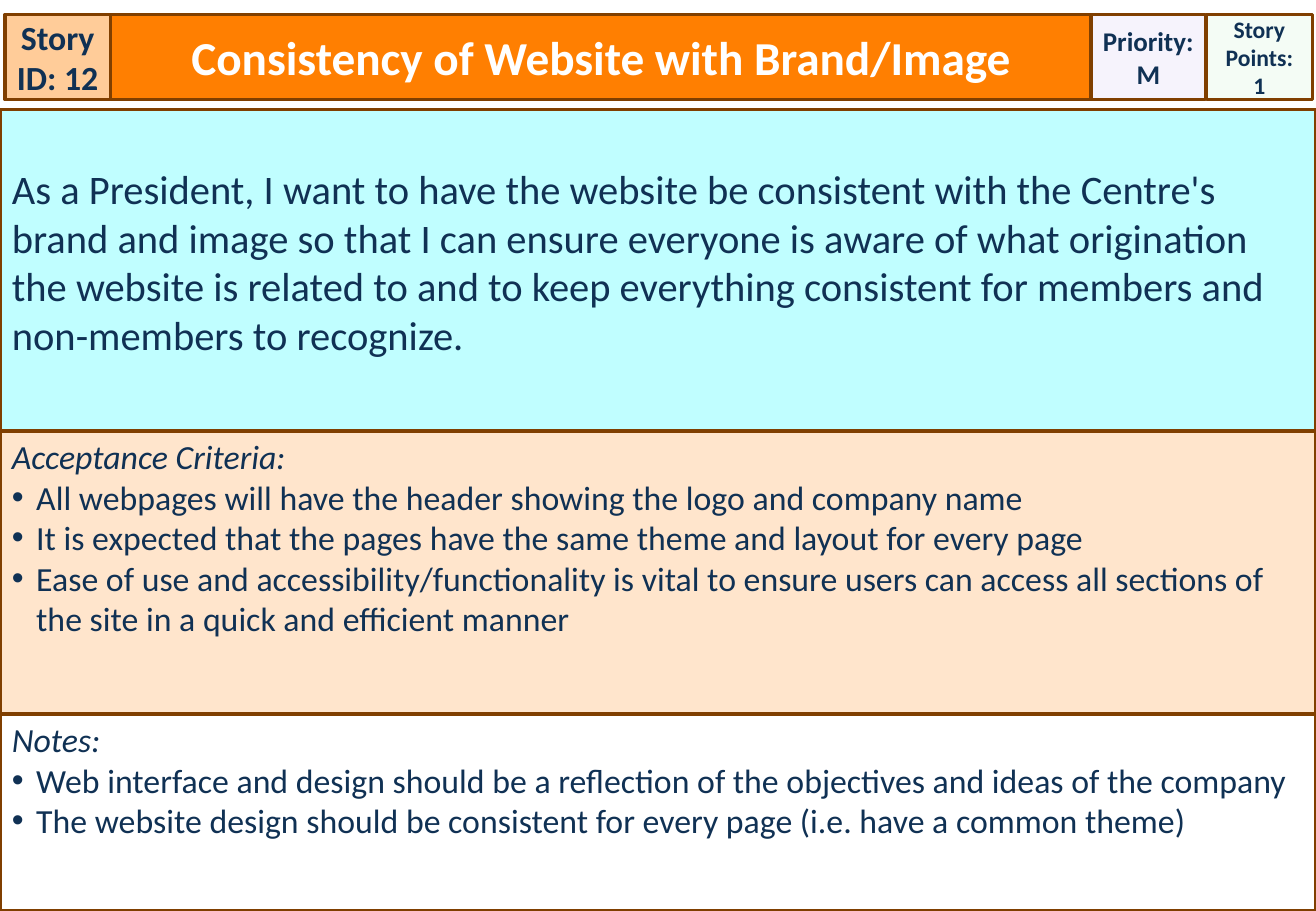
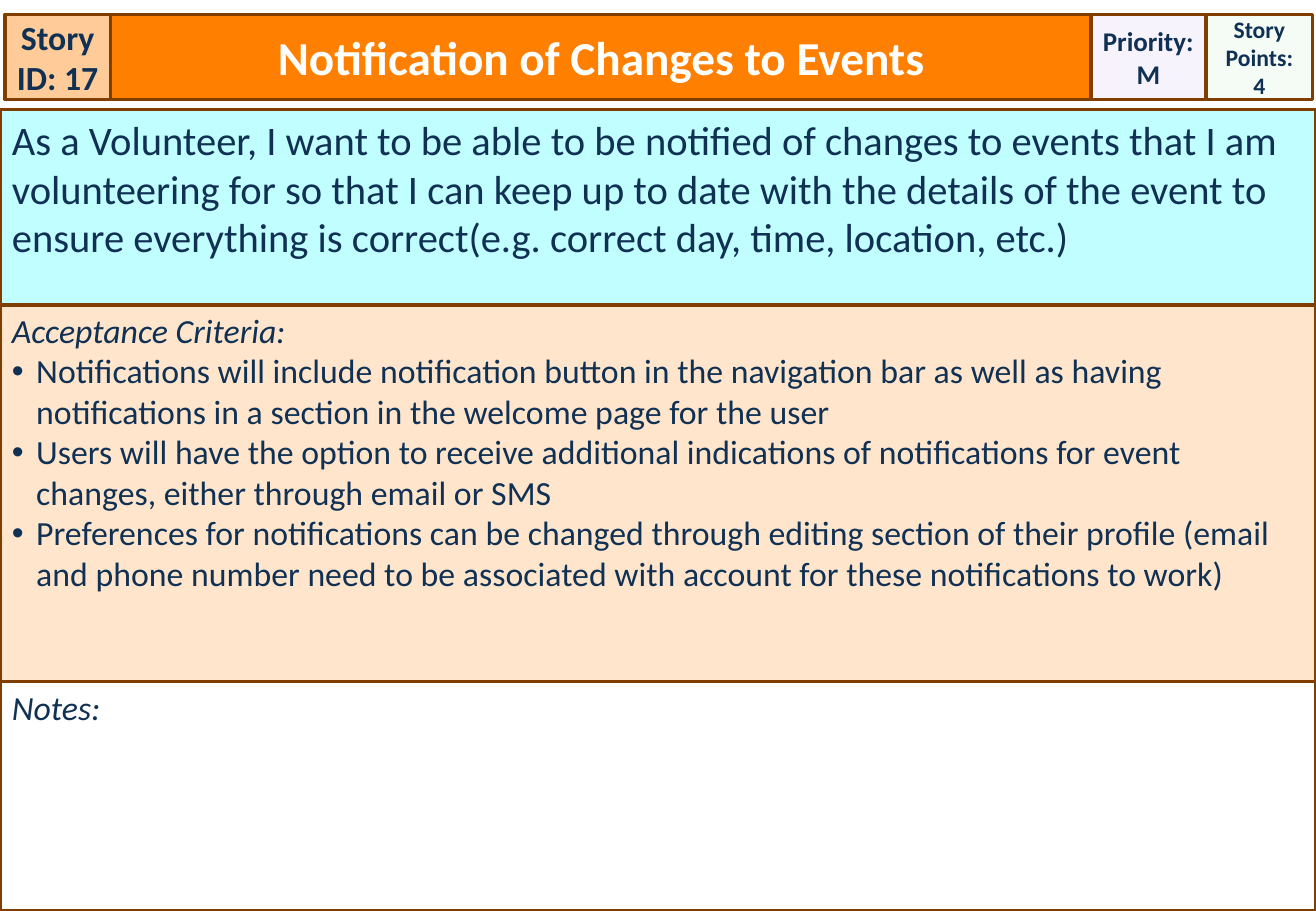
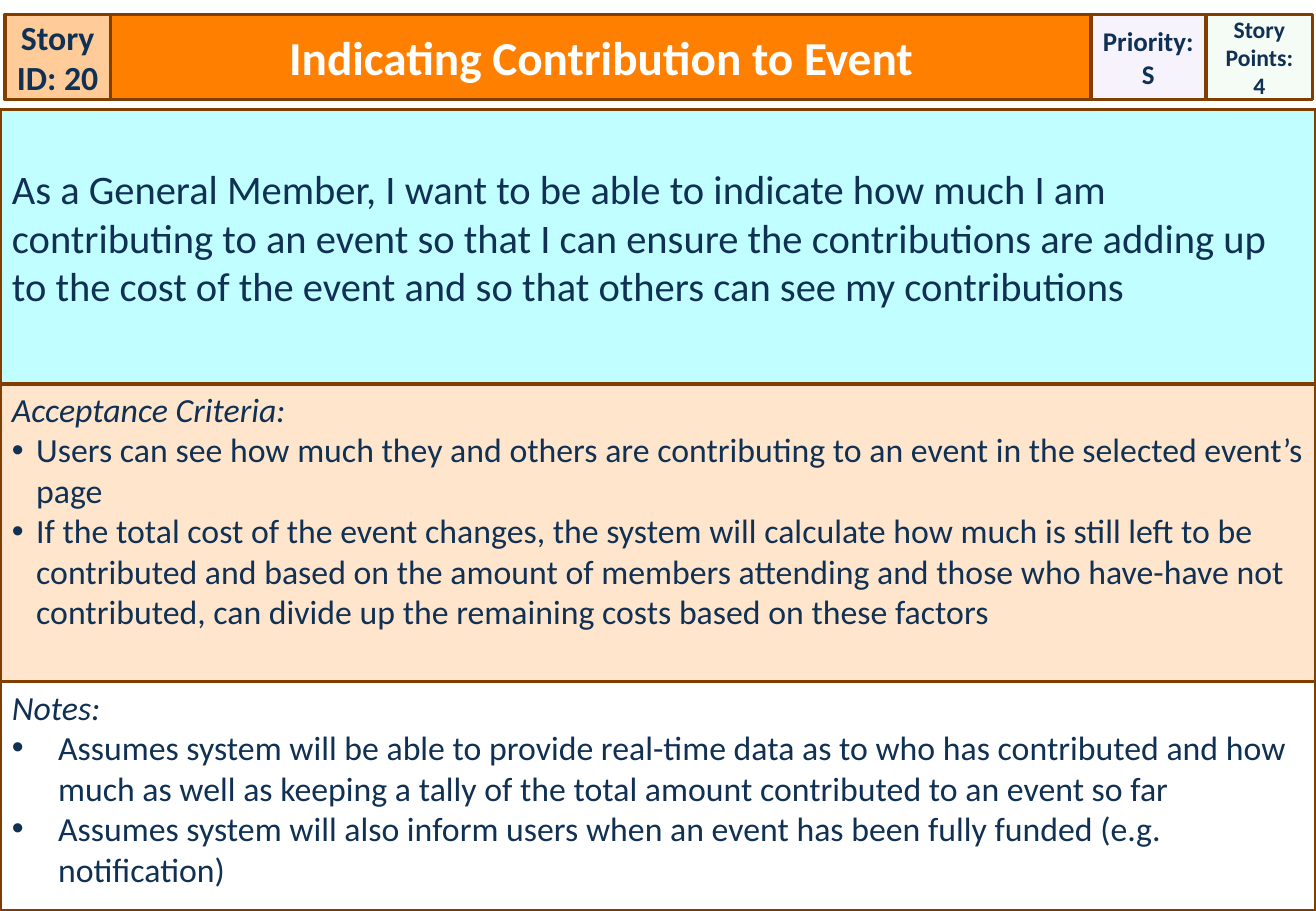
from lxml import etree
from pptx import Presentation
from pptx.dml.color import RGBColor
from pptx.enum.shapes import MSO_SHAPE
from pptx.enum.text import MSO_ANCHOR, PP_ALIGN
from pptx.oxml.ns import qn
from pptx.util import Inches, Pt

RECT = MSO_SHAPE.RECTANGLE
TOP, MIDDLE = MSO_ANCHOR.TOP, MSO_ANCHOR.MIDDLE
LEFT, CENTER = PP_ALIGN.LEFT, PP_ALIGN.CENTER

WIDTH, HEIGHT = 10.83, 7.5
HEAD_TOP, HEAD_HIGH = 0.12, 0.7
BODY_TOP = 0.9
FONT = "Calibri"
COLORS = {
    "ink": "103154",
    "white": "FFFFFF",
    "edge": "803F00",
    "id": "FFCC99",
    "title": "FF7F01",
    "rank": "F6F3FC",
    "points": "CCF0CD",
    "story": "C0FEFF",
    "criteria": "FFE5CC",
}

CARDS = [
    {
        "id": 12,
        "title": "Consistency of Website with Brand/Image",
        "rank": "M",
        "points": 1,
        "splits": (3.55, 5.88),
        "inset": 0.45,
        "story": "As a President, I want to have the website be consistent with the Centre's brand and image so that I can ensure everyone is aware of what origination the website is related to and to keep everything consistent for members and non-members to recognize.",
        "criteria": [
            "All webpages will have the header showing the logo and company name",
            "It is expected that the pages have the same theme and layout for every page",
            "Ease of use and accessibility/functionality is vital to ensure users can access all sections of the site in a quick and efficient manner",
        ],
        "notes": [
            "Web interface and design should be a reflection of the objectives and ideas of the company",
            "The website design should be consistent for every page (i.e. have a common theme)",
        ],
        "indent": 0.2,
    },
    {
        "id": 17,
        "title": "Notification of Changes to Events",
        "rank": "M",
        "points": 4,
        "splits": (2.51, 5.61),
        "inset": 0.05,
        "story": "As a Volunteer, I want to be able to be notified of changes to events that I am volunteering for so that I can keep up to date with the details of the event to ensure everything is correct(e.g. correct day, time, location, etc.)",
        "criteria": [
            "Notifications will include notification button in the navigation bar as well as having notifications in a section in the welcome page for the user",
            "Users will have the option to receive additional indications of notifications for event changes, either through email or SMS",
            "Preferences for notifications can be changed through editing section of their profile (email and phone number need to be associated with account for these notifications to work)",
        ],
        "notes": [],
        "indent": 0.2,
    },
    {
        "id": 20,
        "title": "Indicating Contribution to Event",
        "rank": "S",
        "points": 4,
        "splits": (3.16, 5.61),
        "inset": 0.45,
        "story": "As a General Member, I want to be able to indicate how much I am contributing to an event so that I can ensure the contributions are adding up to the cost of the event and so that others can see my contributions",
        "criteria": [
            "Users can see how much they and others are contributing to an event in the selected event’s page",
            "If the total cost of the event changes, the system will calculate how much is still left to be contributed and based on the amount of members attending and those who have-have not contributed, can divide up the remaining costs based on these factors",
        ],
        "notes": [
            "Assumes system will be able to provide real-time data as to who has contributed and how much as well as keeping a tally of the total amount contributed to an event so far",
            "Assumes system will also inform users when an event has been fully funded (e.g. notification)",
        ],
        "indent": 0.38,
    },
]


def color(name):
    return RGBColor.from_string(COLORS[name])


def add_box(slide, left, top, width, height, fill, side=0.1, inset=0.05):
    box = slide.shapes.add_shape(
        RECT, Inches(left), Inches(top), Inches(width), Inches(height))
    box.shadow.inherit = False
    box.fill.solid()
    box.fill.fore_color.rgb = color(fill)
    box.line.color.rgb = color("edge")
    box.line.width = Pt(2)
    frame = box.text_frame
    frame.word_wrap = True
    frame.margin_left = frame.margin_right = Inches(side)
    frame.margin_top = Inches(inset)
    frame.margin_bottom = Inches(0.05)
    return box


def add_bullet(para, indent):
    props = para._p.get_or_add_pPr()
    props.set("marL", str(Inches(indent)))
    props.set("indent", str(-Inches(indent)))
    etree.SubElement(props, qn("a:buFont")).set("typeface", "Arial")
    etree.SubElement(props, qn("a:buChar")).set("char", "•")


def write(box, lines, size, ink="ink", bold=False, align=LEFT,
          anchor=TOP, indent=None):
    frame = box.text_frame
    frame.vertical_anchor = anchor
    for pos, text in enumerate(lines):
        para = frame.add_paragraph() if pos else frame.paragraphs[0]
        para.text = text
        para.alignment = align
        if pos and indent:
            add_bullet(para, indent)
        font = para.font
        font.name = FONT
        font.size = Pt(size)
        font.bold = bold
        font.italic = indent is not None and pos == 0
        font.color.rgb = color(ink)


def add_cell(slide, left, width, fill, lines, size, ink="ink", side=0):
    cell = add_box(slide, left, HEAD_TOP, width, HEAD_HIGH, fill, side)
    write(cell, lines, size, ink, True, CENTER, MIDDLE)
    return cell


def fade(box, percent):
    tint = box.fill._xPr.find(qn("a:solidFill"))[0]
    etree.SubElement(tint, qn("a:alpha")).set("val", str(percent * 1000))


def add_head(slide, card):
    add_cell(slide, 0.04, 0.87, "id", [f"Story ID: {card['id']}"], 20)
    add_cell(slide, 0.91, 8.07, "title", [card["title"]], 28, "white", 0.1)
    points = add_cell(slide, 9.93, 0.87, "points",
                      ["Story Points:", str(card["points"])], 14)
    fade(points, 20)
    rank = add_cell(slide, 8.98, 0.94, "rank",
                    ["Priority:", card["rank"]], 16)
    rank.text_frame.word_wrap = False


def add_list(slide, top, end, fill, label, items, indent):
    box = add_box(slide, 0, top, WIDTH, end - top, fill, inset=0.04)
    write(box, [label] + items, 20, indent=indent)


def add_body(slide, card):
    split, last = card["splits"]
    story = add_box(slide, 0, BODY_TOP, WIDTH, split - BODY_TOP, "story",
                    inset=card["inset"])
    write(story, [card["story"]], 24)
    add_list(slide, split, last, "criteria", "Acceptance Criteria:",
             card["criteria"], 0.2)
    add_list(slide, last, HEIGHT, "white", "Notes:",
             card["notes"], card["indent"])


def main():
    deck = Presentation()
    deck.slide_width = Inches(WIDTH)
    deck.slide_height = Inches(HEIGHT)
    for card in CARDS:
        slide = deck.slides.add_slide(deck.slide_layouts[6])
        add_head(slide, card)
        add_body(slide, card)
    deck.save("out.pptx")


if __name__ == "__main__":
    main()
